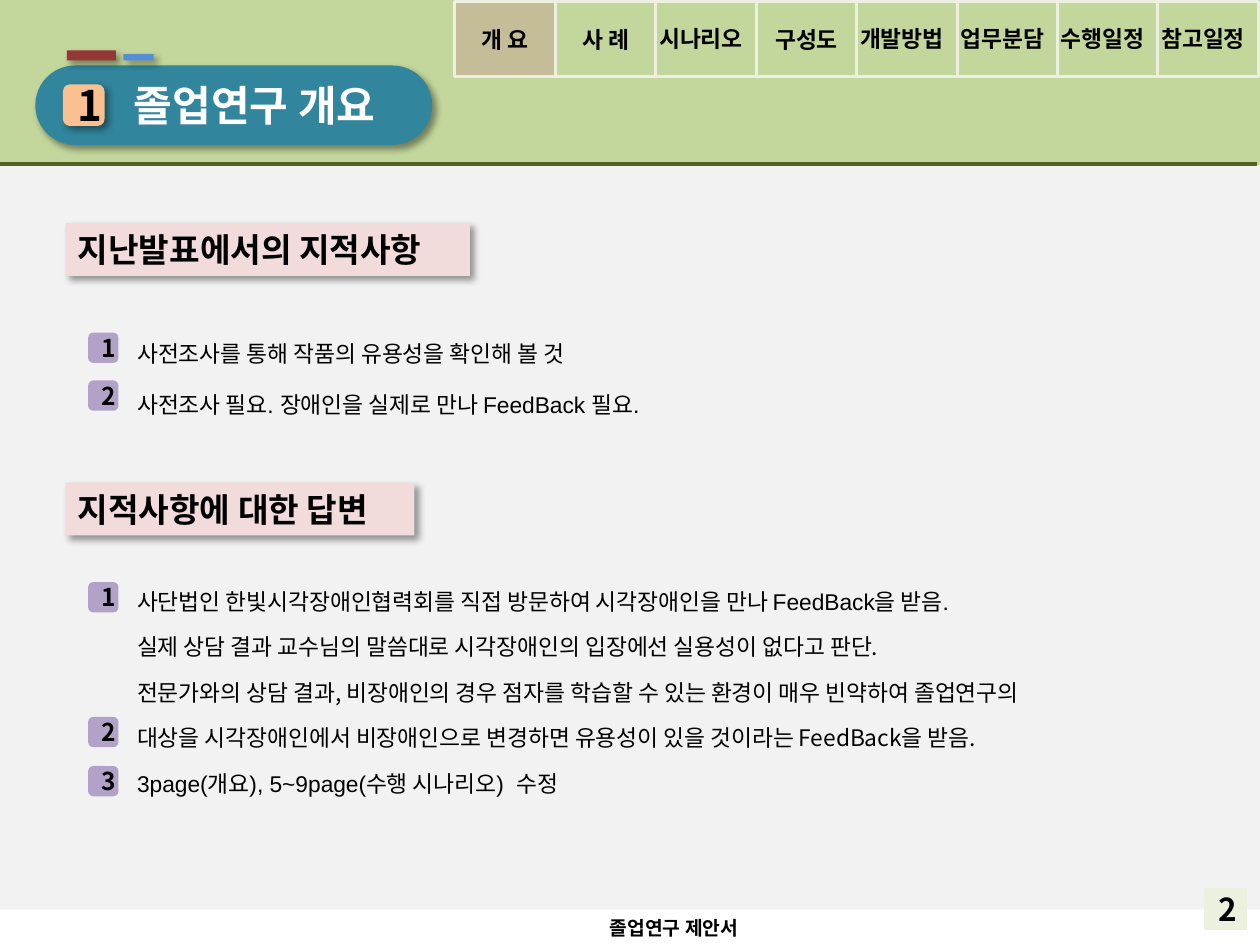
from lxml import etree
from pptx import Presentation
from pptx.dml.color import RGBColor
from pptx.enum.shapes import MSO_CONNECTOR, MSO_SHAPE
from pptx.enum.text import MSO_ANCHOR, MSO_AUTO_SIZE, PP_ALIGN
from pptx.oxml.ns import qn
from pptx.util import Inches, Pt

RECT, ROUND = MSO_SHAPE.RECTANGLE, MSO_SHAPE.ROUNDED_RECTANGLE
LEFT, CENTER = PP_ALIGN.LEFT, PP_ALIGN.CENTER
TOP, MIDDLE = MSO_ANCHOR.TOP, MSO_ANCHOR.MIDDLE
FIT = MSO_AUTO_SIZE.SHAPE_TO_FIT_TEXT

BLACK = RGBColor(0x00, 0x00, 0x00)
WHITE = RGBColor(0xFF, 0xFF, 0xFF)
GRAY = RGBColor(0xF2, 0xF2, 0xF2)
GREEN = RGBColor(0xC3, 0xD6, 0x9B)
PALE_GREEN = RGBColor(0xEB, 0xF1, 0xDE)
DARK_GREEN = RGBColor(0x4F, 0x62, 0x28)
TEAL = RGBColor(0x31, 0x85, 0x9C)
ORANGE = RGBColor(0xFA, 0xC0, 0x90)
TAN = RGBColor(0xC4, 0xBD, 0x97)
RED = RGBColor(0x95, 0x37, 0x35)
BLUE = RGBColor(0x55, 0x8E, 0xD5)
PINK = RGBColor(0xF2, 0xDC, 0xDB)
PURPLE = RGBColor(0xB3, 0xA2, 0xC7)

NOTO, ARIAL = "Noto Sans CJK KR", "Arial"
GRID = 0.1  # inches per grid unit: 100 columns by 75 rows


def grid(*units):
    return [Inches(u * GRID) for u in units]


class Deck:
    """Style of the deck and the slide being built."""

    def __init__(self):
        self.prs = Presentation()
        self.prs.slide_width, self.prs.slide_height = grid(100, 75)
        self.s = self.prs.slides.add_slide(self.prs.slide_layouts[6])

    def label(self, sp, lines, size, color=BLACK, bold=True, fonts=(NOTO,),
              align=CENTER, anchor=MIDDLE, spacing=None):
        """Fill a shape with one paragraph per line; the last font repeats."""
        tf = sp.text_frame
        tf.text = "\n".join(lines)
        tf.vertical_anchor = anchor
        for i, p in enumerate(tf.paragraphs):
            p.alignment = align
            if spacing:
                p.line_spacing = Pt(spacing)
            font = p.runs[0].font
            font.size, font.bold = Pt(size), bold
            font.color.rgb = color
            font.name = fonts[min(i, len(fonts) - 1)]
            ea = etree.SubElement(font._element, qn("a:ea"))
            ea.set("typeface", NOTO)

    def box(self, kind, x, y, w, h, fill=None, line=None, width=1.5, shadow=False):
        sp = self.s.shapes.add_shape(kind, *grid(x, y, w, h))
        sp.shadow.inherit = False
        if fill is None:
            sp.fill.background()
        else:
            sp.fill.solid()
            sp.fill.fore_color.rgb = fill
        if line is None:
            sp.line.fill.background()
        else:
            sp.line.color.rgb = line
            sp.line.width = Pt(width)
        if shadow:
            self.drop_shadow(sp)
        return sp

    def drop_shadow(self, sp):
        effects = sp._element.spPr.find(qn("a:effectLst"))
        outer = etree.SubElement(effects, qn("a:outerShdw"), blurRad=str(Pt(4)),
                                 dist=str(Pt(3)), dir="2700000", algn="tl",
                                 rotWithShape="0")
        color = etree.SubElement(outer, qn("a:srgbClr"), val=str(BLACK))
        etree.SubElement(color, qn("a:alpha"), val="40000")

    def fitted(self, sp, lines, size, **style):
        """Left-aligned text that sets the size of its shape."""
        self.label(sp, lines, size, align=LEFT, anchor=TOP, **style)
        sp.text_frame.word_wrap = False
        sp.text_frame.auto_size = FIT

    def text(self, x, y, w, h, lines, size, **style):
        sp = self.s.shapes.add_textbox(*grid(x, y, w, h))
        self.fitted(sp, lines, size, **style)

    def heading(self, y, w, title):
        sp = self.box(RECT, 5.2, y, w, 4.2, PINK, shadow=True)
        self.fitted(sp, [title], 19, fonts=(ARIAL,))

    def badge(self, y, number):
        self.label(self.box(ROUND, 7, y, 2.4, 2.4, PURPLE), [str(number)], 14)

    def rule(self, x1, y1, x2, y2, color, width):
        line = self.s.shapes.add_connector(MSO_CONNECTOR.STRAIGHT,
                                           *grid(x1, y1, x2, y2))
        line.line.color.rgb = color
        line.line.width = Pt(width)
        etree.SubElement(line._element.spPr, qn("a:effectLst"))


def main():
    d = Deck()

    # Body panel and page number
    d.box(RECT, 0, 13.1, 100, 59.1, GRAY)
    d.label(d.box(RECT, 95.7, 70.6, 3.1, 3.1, PALE_GREEN, PALE_GREEN, 2), ["2"], 18)

    # Header band with title pill
    d.box(RECT, 0, 0, 100, 13.1, GREEN)
    pill = d.box(ROUND, 2.8, 5.2, 31.5, 6.3, TEAL, shadow=True)
    pill.adjustments[0] = 0.5
    d.label(pill, ["졸업연구 개요"], 24, WHITE)
    pill.text_frame.margin_left = Inches(0.43)
    d.label(d.box(ROUND, 5, 6.7, 3.3, 3.3, ORANGE, shadow=True), ["1"], 24)

    # Navigation tabs: short labels sit in the cell, long ones in a wider box
    tabs = ["개 요", "사 례", "시나리오", "구성도",
            "개발방법", "업무분담", "수행일정", "참고일정"]
    for i, name in enumerate(tabs):
        x = 36.1 + 7.97 * i
        cell = d.box(RECT, x, 0.1, 8, 6, None if i else TAN, PALE_GREEN)
        if len(name) < 4:
            d.label(cell, [name], 13)
        else:
            d.text(x - 0.7, 1.5, 9.3, 3.2, [name], 13)

    # Header accents and rule
    d.box(RECT, 5.3, 4, 3.9, 0.8, RED, shadow=True)
    d.rule(-0.2, 13, 99.8, 13, DARK_GREEN, 2.25)
    d.box(RECT, 9.8, 4.3, 2.4, 0.5, BLUE, shadow=True)

    # Footer
    d.text(47.4, 72.2, 14.4, 2.9, ["졸업연구 제안서"], 11, fonts=(ARIAL,))

    # Remarks from the last presentation
    d.heading(17.7, 32.1, "지난발표에서의 지적사항")
    for number, y in enumerate((26.4, 30.2), 1):
        d.badge(y, number)
    d.text(9.9, 24.6, 45.1, 9, [
        "사전조사를 통해 작품의 유용성을 확인해 볼 것",
        "사전조사 필요. 장애인을 실제로 만나 FeedBack 필요.",
    ], 13, bold=False, fonts=(ARIAL,), spacing=29)

    # Answers to the remarks
    d.heading(38.3, 27.7, "지적사항에 대한 답변")
    for number, y in enumerate((46.2, 56.9, 60.8), 1):
        d.badge(y, number)
    d.text(9.9, 44.7, 81.3, 19, [
        "사단법인 한빛시각장애인협력회를 직접 방문하여 시각장애인을 만나 FeedBack을 받음.",
        "실제 상담 결과 교수님의 말씀대로 시각장애인의 입장에선 실용성이 없다고 판단.",
        "전문가와의 상담 결과, 비장애인의 경우 점자를 학습할 수 있는 환경이 매우 빈약하여 졸업연구의",
        "대상을 시각장애인에서 비장애인으로 변경하면 유용성이 있을 것이라는 FeedBack을 받음.",
        "3page(개요), 5~9page(수행 시나리오)  수정",
    ], 13, bold=False, fonts=(ARIAL, NOTO, NOTO, NOTO, ARIAL), spacing=26)

    d.prs.save("out.pptx")


if __name__ == "__main__":
    main()
